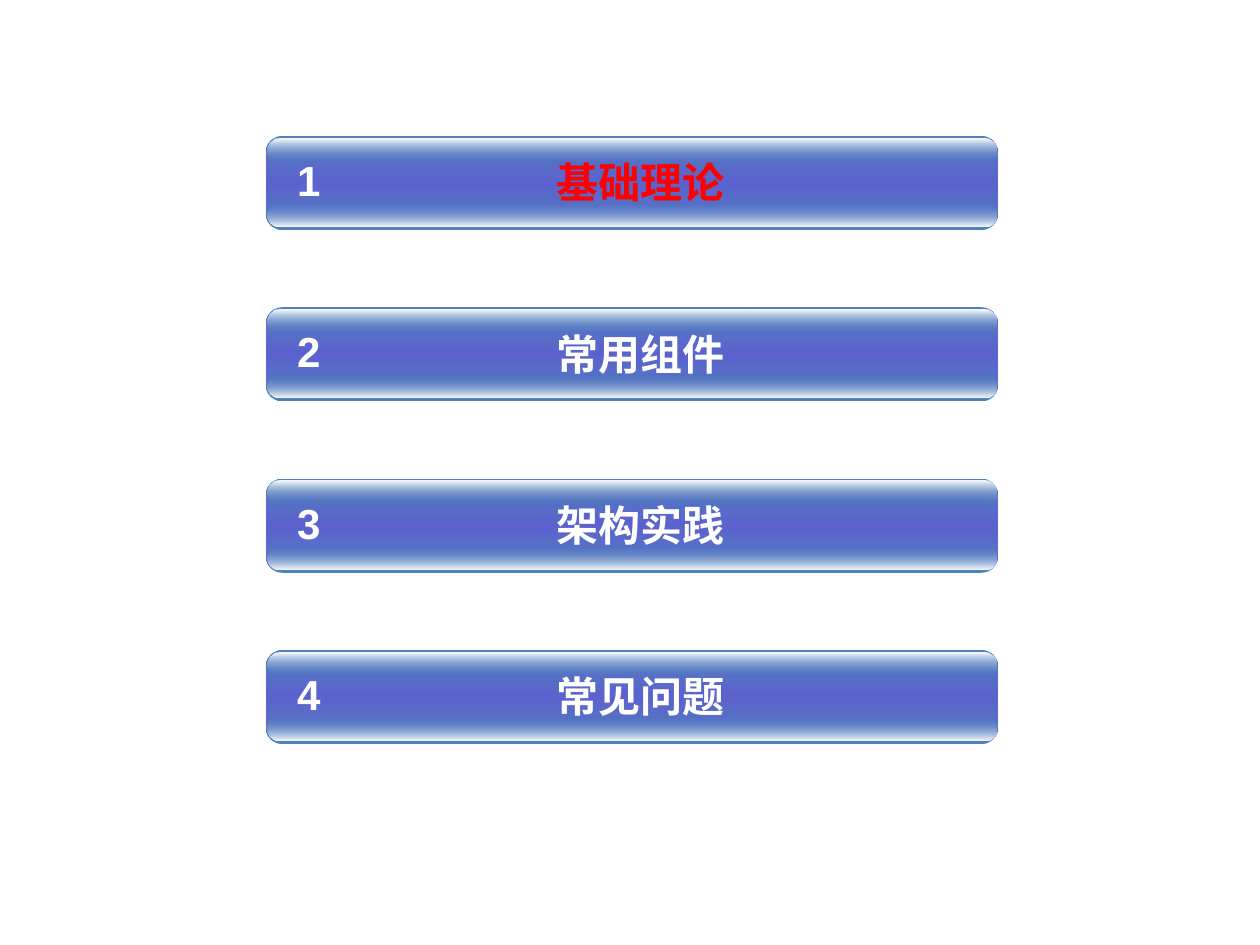
from lxml import etree
from pptx import Presentation
from pptx.dml.color import RGBColor
from pptx.enum.shapes import MSO_SHAPE
from pptx.enum.text import MSO_ANCHOR, MSO_AUTO_SIZE, PP_ALIGN
from pptx.oxml.ns import qn
from pptx.util import Cm, Pt

ROUNDED = MSO_SHAPE.ROUNDED_RECTANGLE
CENTER = PP_ALIGN.CENTER
TOP = MSO_ANCHOR.TOP
FIT_SHAPE = MSO_AUTO_SIZE.SHAPE_TO_FIT_TEXT

BLUE = RGBColor(0x4F, 0x81, 0xBD)
VIOLET = RGBColor(0x5C, 0x62, 0xCD)
WHITE = RGBColor(0xFF, 0xFF, 0xFF)
RED = RGBColor(0xFF, 0x00, 0x00)

# Gradient stops from top to bottom: position %, colour, opacity %
BAR_STOPS = [(0, BLUE, 100), (50, VIOLET, 100), (100, BLUE, 100)]
LOWER_SHINE_STOPS = [(0, BLUE, 0), (100, WHITE, 100)]
UPPER_SHINE_STOPS = [(0, WHITE, 100), (100, BLUE, 0)]

CHAPTERS = [("基础理论", RED), ("常用组件", WHITE),
            ("架构实践", WHITE), ("常见问题", WHITE)]
BAR_LEFT, FIRST_TOP, BAR_PITCH = 5.36, 2.74, 3.454
TITLE_INDENT = 1.27


def set_vertical_gradient(shape, stops):
    shape.fill.gradient()
    gradient = shape._element.spPr.find(qn("a:gradFill"))
    for child in list(gradient):
        gradient.remove(child)
    stop_list = etree.SubElement(gradient, qn("a:gsLst"))
    for position, color, opacity in stops:
        stop = etree.SubElement(stop_list, qn("a:gs"), pos=str(position * 1000))
        color_element = etree.SubElement(stop, qn("a:srgbClr"), val=str(color))
        if opacity < 100:
            etree.SubElement(color_element, qn("a:alpha"), val=str(opacity * 1000))
    etree.SubElement(gradient, qn("a:lin"), ang="5400000", scaled="0")


def add_rounded_bar(group, left, top, width, height, corner, stops):
    shape = group.shapes.add_shape(ROUNDED, Cm(left), Cm(top), Cm(width), Cm(height))
    shape.adjustments[0] = corner
    shape.shadow.inherit = False
    shape.line.fill.background()
    set_vertical_gradient(shape, stops)


def add_label(group, left, top, width, text, color, hanging=0):
    box = group.shapes.add_textbox(Cm(left), Cm(top), Cm(width), Cm(1.27))
    frame_format = {"word_wrap": True, "auto_size": FIT_SHAPE, "vertical_anchor": TOP}
    for name, value in frame_format.items():
        setattr(box.text_frame, name, value)
    paragraph = box.text_frame.paragraphs[0]
    paragraph.alignment = CENTER
    if hanging:
        properties = paragraph._p.get_or_add_pPr()
        properties.set("marL", str(Cm(hanging)))
        properties.set("indent", str(-Cm(hanging)))
    run = paragraph.add_run()
    run.text = text
    for name, value in {"name": "Arial", "size": Pt(24), "bold": True}.items():
        setattr(run.font, name, value)
    run.font.color.rgb = color


def add_chapter(slide, number, title, title_color):
    group = slide.shapes.add_group_shape()
    left = BAR_LEFT
    top = FIRST_TOP + (number - 1) * BAR_PITCH
    add_rounded_bar(group, left, top, 14.76, 1.9, 0.175, BAR_STOPS)
    for offset, stops in ((1.37, LOWER_SHINE_STOPS), (0.05, UPPER_SHINE_STOPS)):
        add_rounded_bar(group, left + 0.03, top + offset, 14.7, 0.46, 0.5, stops)
    add_label(group, left + 1.3, top + 0.3, 12.5, title, title_color, TITLE_INDENT)
    add_label(group, left + 0.33, top + 0.25, 1.07, str(number), WHITE)


def main():
    presentation = Presentation()
    presentation.slide_width = Cm(25.4)
    presentation.slide_height = Cm(19.05)
    slide = presentation.slides.add_slide(presentation.slide_layouts[6])
    for number, (title, color) in enumerate(CHAPTERS, start=1):
        add_chapter(slide, number, title, color)
    presentation.save("out.pptx")


if __name__ == "__main__":
    main()
